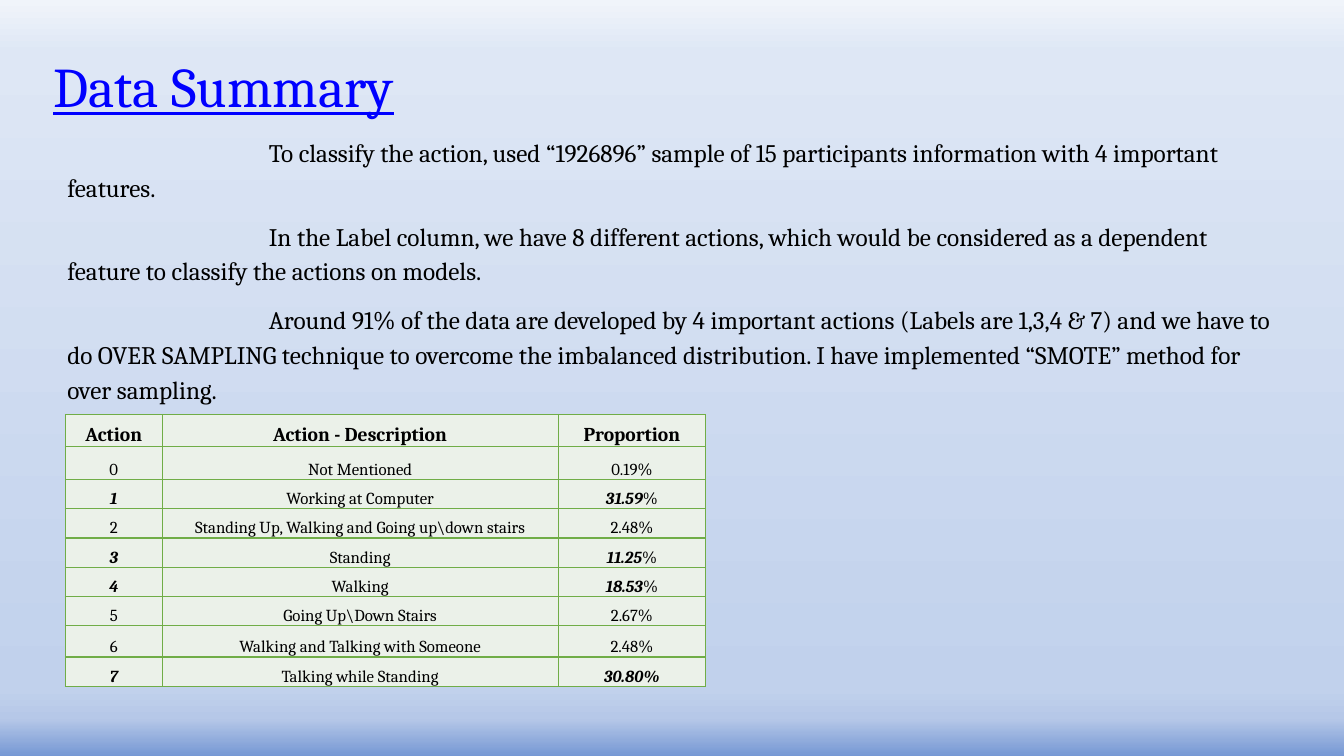
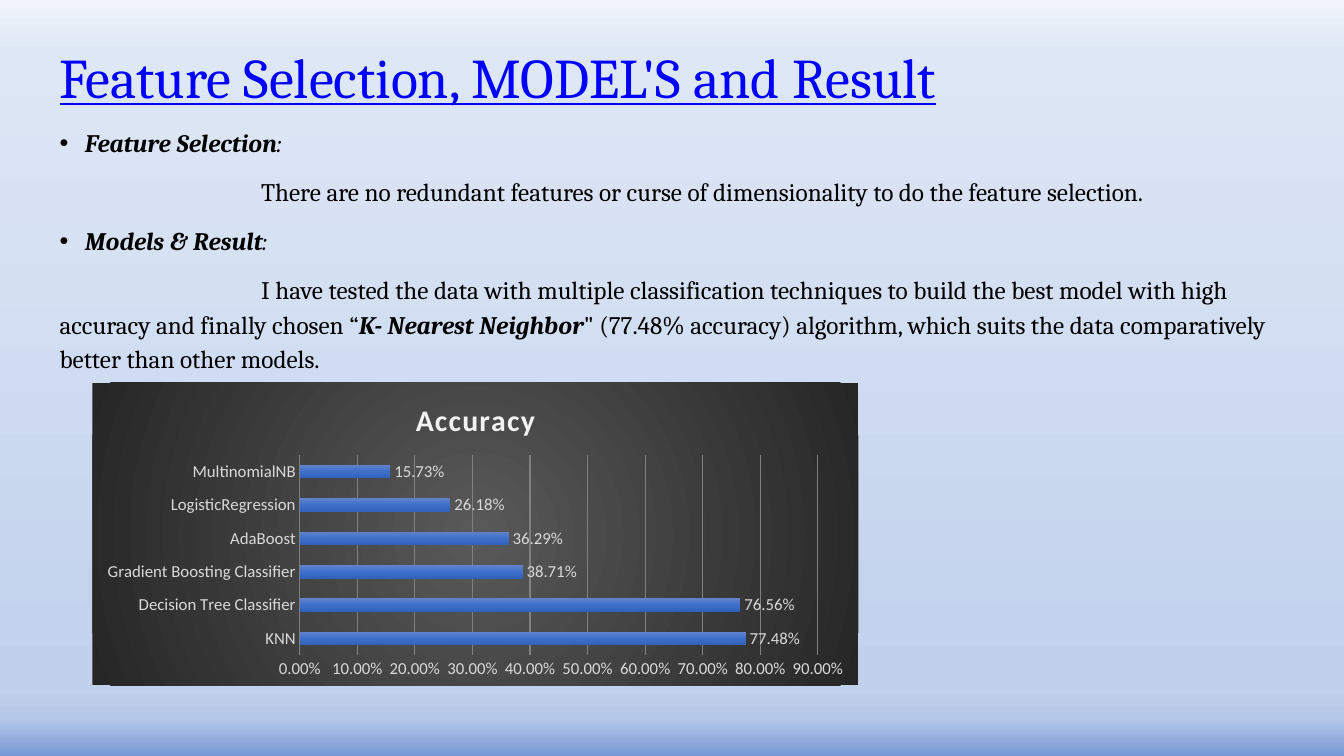
import pptx
import pptx.chart.data
import pptx.dml.color
import pptx.enum.chart
import pptx.enum.text
import pptx.oxml
import pptx.oxml.ns
import pptx.util

Pt = pptx.util.Pt
RGBColor = pptx.dml.color.RGBColor
Align = pptx.enum.text.PP_ALIGN
Anchor = pptx.enum.text.MSO_ANCHOR
qn = pptx.oxml.ns.qn
A_NS = pptx.oxml.ns.nsdecls("a")

BLACK = RGBColor(0x00, 0x00, 0x00)
TITLE_BLUE = RGBColor(0x00, 0x00, 0xFF)
CELL_FILL = RGBColor(0xEB, 0xF1, 0xE9)
CELL_BORDER = RGBColor(0x70, 0xAD, 0x47)
CHART_TITLE = RGBColor(0xF2, 0xF2, 0xF2)
CHART_TEXT = RGBColor(0xD9, 0xD9, 0xD9)
GRID_LINE = RGBColor(0x80, 0x80, 0x80)

# Gradients: (position in percent, colour)
SKY = [(0, RGBColor(0xF0, 0xF4, 0xFA)), (7, RGBColor(0xDE, 0xE7, 0xF5)),
       (91, RGBColor(0xC1, 0xD1, 0xEC)), (95, RGBColor(0xB6, 0xC8, 0xE8)),
       (100, RGBColor(0x76, 0x98, 0xD4))]
BAR_BLUE = [(0, RGBColor(0x61, 0x83, 0xCB)), (50, RGBColor(0x3E, 0x70, 0xCA)),
            (100, RGBColor(0x30, 0x62, 0xBB))]
CHARCOAL = [(0, RGBColor(0x59, 0x59, 0x59)), (100, RGBColor(0x26, 0x26, 0x26))]

DOWNWARD = '<a:lin ang="5400000" scaled="0"/>'
FROM_CENTRE = ('<a:path path="circle">'
               '<a:fillToRect l="50000" t="50000" r="50000" b="50000"/></a:path>')


def gradient(stops, direction):
    marks = "".join(f'<a:gs pos="{pos * 1000}"><a:srgbClr val="{color}"/></a:gs>'
                    for pos, color in stops)
    return pptx.oxml.parse_xml(
        f'<a:gradFill {A_NS} rotWithShape="1"><a:gsLst>{marks}</a:gsLst>{direction}</a:gradFill>')


def fill_downward(fill, owner, stops):
    fill.gradient()
    default = next(owner.iter(qn("a:gradFill")))
    default.getparent().replace(default, gradient(stops, DOWNWARD))


class Deck:
    text_font = "Cambria"
    chart_font = "Calibri"

    def __init__(self):
        self.prs = pptx.Presentation()
        self.prs.slide_width, self.prs.slide_height = Pt(960), Pt(540)
        self.slide = None

    def new_slide(self):
        self.slide = self.prs.slides.add_slide(self.prs.slide_layouts[6])
        fill_downward(self.slide.background.fill, self.slide.element, SKY)

    def style(self, font, size, color=BLACK, name=None, bold=False, italic=False):
        font.name, font.size = name or self.text_font, Pt(size)
        font.color.rgb = color
        font.bold, font.italic = bold, italic

    def add_runs(self, paragraph, runs, size):
        """Add (text, marks) runs; marks holds b for bold, i for italic."""
        for text, marks in runs:
            run = paragraph.add_run()
            run.text = text
            self.style(run.font, size, bold="b" in marks, italic="i" in marks)

    def text_box(self, left, top, width, height):
        frame = self.slide.shapes.add_textbox(Pt(left), Pt(top), Pt(width), Pt(height)).text_frame
        frame.word_wrap = True
        return frame

    def title(self, text, left, top):
        frame = self.text_box(left, top, 828, 54.7)
        frame.vertical_anchor = Anchor.MIDDLE
        frame.text = text
        heading = frame.paragraphs[0]
        heading.line_spacing = 0.9
        font = heading.runs[0].font
        self.style(font, 40, TITLE_BLUE)
        font.underline = True

    def body(self, paragraphs, left, top, height):
        """Add (kind, runs) paragraphs: a bulleted heading or indented prose."""
        frame = self.text_box(left, top, 878.4, height)
        for index, (kind, runs) in enumerate(paragraphs):
            paragraph = frame.add_paragraph() if index else frame.paragraphs[0]
            paragraph.line_spacing, paragraph.space_before = 1.15, Pt(10)
            self.add_runs(paragraph, runs, 18)
            bulleted = kind == "heading"
            props = paragraph._p.get_or_add_pPr()
            props.set("marL", str(Pt(18 if bulleted else 0)))
            props.set("indent", str(Pt(-18 if bulleted else 144)))
            if bulleted:
                props.append(pptx.oxml.parse_xml(f'<a:buFont {A_NS} typeface="Arial"/>'))
                props.append(pptx.oxml.parse_xml(f'<a:buChar {A_NS} char="•"/>'))

    def cell(self, cell, runs, size):
        cell.vertical_anchor = Anchor.BOTTOM
        cell.margin_left = cell.margin_right = cell.margin_top = Pt(0.7)
        cell.margin_bottom = Pt(0)
        paragraph = cell.text_frame.paragraphs[0]
        paragraph.alignment = Align.CENTER
        self.add_runs(paragraph, runs, size)
        props = cell._tc.get_or_add_tcPr()
        for side in "LRTB":
            props.append(pptx.oxml.parse_xml(
                f'<a:ln{side} {A_NS} w="{Pt(1)}"><a:solidFill>'
                f'<a:srgbClr val="{CELL_BORDER}"/></a:solidFill></a:ln{side}>'))
        cell.fill.solid()
        cell.fill.fore_color.rgb = CELL_FILL

    def table(self, rows, left, top, widths, heights):
        """Rows hold cells, each a list of runs; the first row is the header."""
        table = self.slide.shapes.add_table(len(rows), len(widths), Pt(left), Pt(top),
                                            Pt(sum(widths)), Pt(sum(heights))).table
        table.first_row = table.horz_banding = False
        for column, width in zip(table.columns, widths):
            column.width = Pt(width)
        for index, (row, height) in enumerate(zip(rows, heights)):
            table.rows[index].height = Pt(height)
            for column, runs in enumerate(row):
                self.cell(table.cell(index, column), runs, 12 if index else 14)

    def bar_chart(self, name, values, left, top, width, height):
        data = pptx.chart.data.CategoryChartData(number_format="0.00%")
        data.categories = list(values)
        data.add_series(name, list(values.values()))
        chart = self.slide.shapes.add_chart(
            pptx.enum.chart.XL_CHART_TYPE.BAR_CLUSTERED,
            Pt(left), Pt(top), Pt(width), Pt(height), data).chart
        self.style(chart.font, 10, name=self.chart_font)
        chart.has_legend = False

        # Dark chart area
        area = pptx.oxml.parse_xml(f'<c:spPr {pptx.oxml.ns.nsdecls("c", "a")}/>')
        area.append(gradient(CHARCOAL, FROM_CENTRE))
        area.append(pptx.oxml.parse_xml(f'<a:ln {A_NS}><a:noFill/></a:ln>'))
        chart._chartSpace.find(qn("c:chart")).addnext(area)

        # Heading
        chart.has_title = True
        heading = chart.chart_title.text_frame
        heading.text = name
        heading_run = heading.paragraphs[0].runs[0]
        self.style(heading_run.font, 21.3, CHART_TITLE, self.chart_font, bold=True)
        heading_run._r.get_or_add_rPr().set("spc", "100")
        chart.chart_title.include_in_layout = False

        # Axes
        for axis in (chart.category_axis, chart.value_axis):
            axis.major_tick_mark = axis.minor_tick_mark = pptx.enum.chart.XL_TICK_MARK.NONE
            axis.format.line.fill.background()
            self.style(axis.tick_labels.font, 12, CHART_TEXT, self.chart_font)
        scale = chart.value_axis
        scale.minimum_scale, scale.maximum_scale, scale.major_unit = 0, 0.9, 0.1
        scale.tick_labels.number_format = "0.00%"
        scale.tick_labels.number_format_is_linked = False
        scale.has_major_gridlines = True
        grid = scale.major_gridlines.format.line
        grid.color.rgb, grid.width = GRID_LINE, Pt(0.75)

        # Bars and their labels
        plot = chart.plots[0]
        plot.gap_width, plot.vary_by_categories = 150, False
        bars = plot.series[0]
        fill_downward(bars.format.fill, bars._element, BAR_BLUE)
        plot.has_data_labels = True
        labels = plot.data_labels
        labels.show_value = True
        labels.number_format, labels.number_format_is_linked = "0.00%", False
        labels.position = pptx.enum.chart.XL_LABEL_POSITION.OUTSIDE_END
        self.style(labels.font, 12, CHART_TEXT, self.chart_font)


deck = Deck()

# Data summary
deck.new_slide()
summary = [
    "To classify the action, used “1926896” sample of 15 participants information "
    "with 4 important features.",
    "In the Label column, we have 8 different actions, which would be considered as "
    "a dependent feature to classify the actions on models.",
    "Around 91% of the data are developed by 4 important actions (Labels are 1,3,4 & 7) "
    "and we have to do OVER SAMPLING technique to overcome the imbalanced distribution. "
    "I have implemented “SMOTE” method for over sampling.",
]
deck.body([("prose", [(text, "")]) for text in summary], 41, 91.4, 412)
deck.title("Data Summary", 31, 36.7)

header = [[(text, "b")] for text in ("Action", "Action - Description", "Proportion")]
actions = [
    ("Not Mentioned", [("0.19%", "")]),
    ("Working at Computer", [("31.59", "bi"), ("%", "")]),
    ("Standing Up, Walking and Going up\\down stairs", [("2.48%", "")]),
    ("Standing", [("11.25", "bi"), ("%", "")]),
    ("Walking", [("18.53", "bi"), ("%", "")]),
    ("Going Up\\Down Stairs", [("2.67%", "")]),
    ("Walking and Talking with Someone", [("2.48%", "")]),
    ("Talking while Standing", [("30.80%", "bi")]),
]
main_actions = {1, 3, 4, 7}
action_rows = [[[(str(label), "bi" if label in main_actions else "")],
                [(description, "")], proportion]
               for label, (description, proportion) in enumerate(actions)]
deck.table([header] + action_rows, 46.8, 296, [69, 283, 105.2],
           [23, 23.6, 20.9, 20.9, 20.9, 20.9, 20.9, 22.3, 20.9])

# Feature selection, models and result
deck.new_slide()
deck.body([
    ("heading", [("Feature Selection", "bi"), (":", "i")]),
    ("prose", [("There are no redundant features or curse of dimensionality to do "
                "the feature selection.", "")]),
    ("heading", [("Models & Result", "bi"), (":", "i")]),
    ("prose", [("I have tested the data with multiple classification techniques to build "
                "the best model with high accuracy and finally chosen “", ""),
               ("K- Nearest Neighbor", "bi"),
               ("\" (77.48% accuracy) algorithm, which suits the data comparatively "
                "better than other models.", "")]),
], 35.5, 84.5, 387)
deck.title("Feature Selection, MODEL'S and Result", 35.5, 30)
deck.bar_chart("Accuracy", {
    "KNN": 0.7748,
    "Decision Tree Classifier": 0.7656,
    "Gradient Boosting Classifier": 0.3871,
    "AdaBoost": 0.3629,
    "LogisticRegression": 0.2618,
    "MultinomialNB": 0.1573,
}, 66, 273.5, 547.2, 216)

deck.prs.save("out.pptx")
